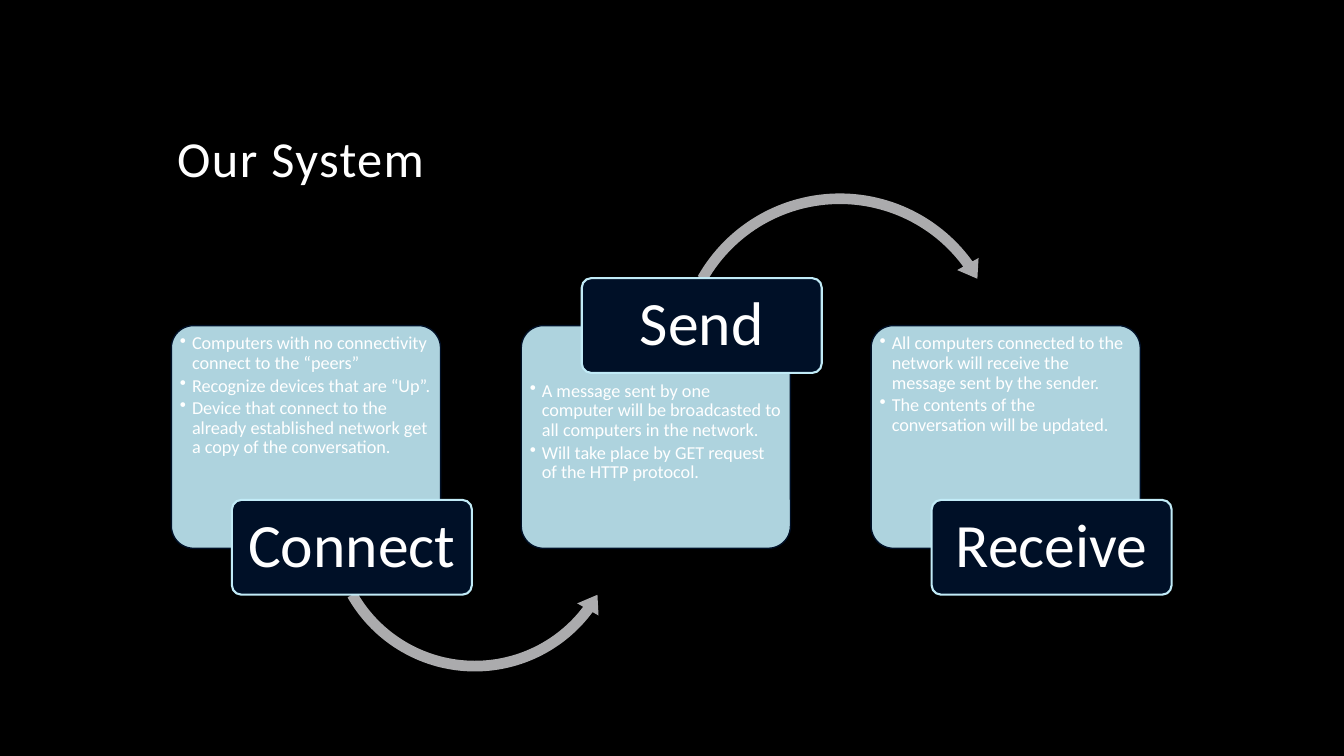
from lxml.etree import SubElement
from pptx import Presentation
from pptx.dml.color import RGBColor
from pptx.enum.shapes import MSO_SHAPE as Shape
from pptx.enum.text import MSO_ANCHOR as Anchor, PP_ALIGN as Align
from pptx.oxml.ns import qn
from pptx.util import Inches, Pt

BLACK, WHITE, NAVY, ICE, GREY = "000000", "FFFFFF", "001027", "C1EBF7", "ABABAD"
FIRST_LEFT, STEP_PITCH = 1.7, 3.47
STEPS = [
    ("Connect", 4.96, 0.02, [
        "Computers with no connectivity connect to the “peers”",
        "Recognize devices that are “Up”.",
        "Device that connect to the already established network get a copy of the conversation.",
    ]),
    ("Send", 2.76, 0.49, [
        "A message sent by one computer will be broadcasted to all computers in the network.",
        "Will take place by GET request of the HTTP protocol.",
    ]),
    ("Receive", 4.96, 0.02, [
        "All computers connected to the network will receive the message sent by the sender.",
        "The contents of the conversation will be updated.",
    ]),
]


def paint(color_format, color):
    color_format.rgb = RGBColor.from_string(color)


def fill_with(target, color):
    target.fill.solid()
    paint(target.fill.fore_color, color)


def add_figure(page, kind, bounds, fill, adjustments):
    figure = page.shapes.add_shape(kind, *map(Inches, bounds))
    figure.shadow.inherit = False
    fill_with(figure, fill)
    for index, value in enumerate(adjustments):
        figure.adjustments[index] = value
    return figure


def outline(figure, color, width):
    paint(figure.line.color, color)
    figure.line.width = Pt(width)


def set_frame(shape, anchor, insets):
    frame = shape.text_frame
    frame.word_wrap = True
    frame.vertical_anchor = anchor
    frame.margin_left, frame.margin_top, frame.margin_right, frame.margin_bottom = map(Inches, insets)
    return frame


def style(para, size, align=Align.LEFT):
    para.alignment = align
    para.line_spacing = 0.9
    para.font.size = Pt(size)
    para.font.name = "Calibri"
    paint(para.font.color, WHITE)


def add_bullet(para):
    properties = para._p.get_or_add_pPr()
    properties.set("marL", str(Inches(0.12)))
    properties.set("indent", str(-Inches(0.12)))
    SubElement(properties, qn("a:buChar"), char="•")


def add_title(page, text):
    box = page.shapes.add_textbox(*map(Inches, (1.66, 0.42, 10, 1.5)))
    frame = set_frame(box, Anchor.BOTTOM, (0.1, 0.05, 0.1, 0.05))
    para = frame.paragraphs[0]
    span = para.add_run()
    span.text = text
    style(para, 36)
    span._r.get_or_add_rPr().set("spc", "100")


def add_card(page, left, top_inset, points):
    card = add_figure(page, Shape.ROUNDED_RECTANGLE, (left, 3.23, 2.67, 2.21), ICE, [0.1])
    color = card.fill._xPr.find(qn("a:solidFill"))[0]
    SubElement(color, qn("a:alpha"), val="90000")
    outline(card, NAVY, 1)
    frame = set_frame(card, Anchor.TOP, (0.02, top_inset, 0.01, 0.02))
    frame.text = "\n".join(points)
    for para in frame.paragraphs:
        style(para, 13)
        para.space_after = Pt(2)
        add_bullet(para)


def add_label(page, left, top, text):
    label = add_figure(page, Shape.ROUNDED_RECTANGLE, (left, top, 2.38, 0.94), NAVY, [0.1])
    outline(label, ICE, 1.5)
    frame = set_frame(label, Anchor.MIDDLE, (0.09, 0.06, 0.09, 0.06))
    frame.text = text
    style(frame.paragraphs[0], 44, Align.CENTER)


def add_arc(page, kind, bounds, adjustments):
    arc = add_figure(page, kind, bounds, GREY, adjustments)
    arc.line.fill.background()


def main():
    deck = Presentation()
    deck.slide_width, deck.slide_height = Inches(13.33), Inches(7.5)
    page = deck.slides.add_slide(deck.slide_layouts[6])
    fill_with(page.background, BLACK)
    add_title(page, "Our System")
    arcs = [
        (Shape.LEFT_CIRCULAR_ARROW, (3.19, 3.69, 3.04, 3.04), (0.035, 4.277, 22.032, 90.245, 0.04)),
        (Shape.CIRCULAR_ARROW, (6.64, 1.85, 3.38, 3.38), (0.031, 3.813, 194.431, 125.755, 0.036)),
    ]
    for index, (name, label_top, top_inset, points) in enumerate(STEPS):
        left = FIRST_LEFT + index * STEP_PITCH
        add_card(page, left, top_inset, points)
        if index < len(arcs):
            add_arc(page, *arcs[index])
        add_label(page, left + 0.6, label_top, name)
    deck.save("out.pptx")


if __name__ == "__main__":
    main()
